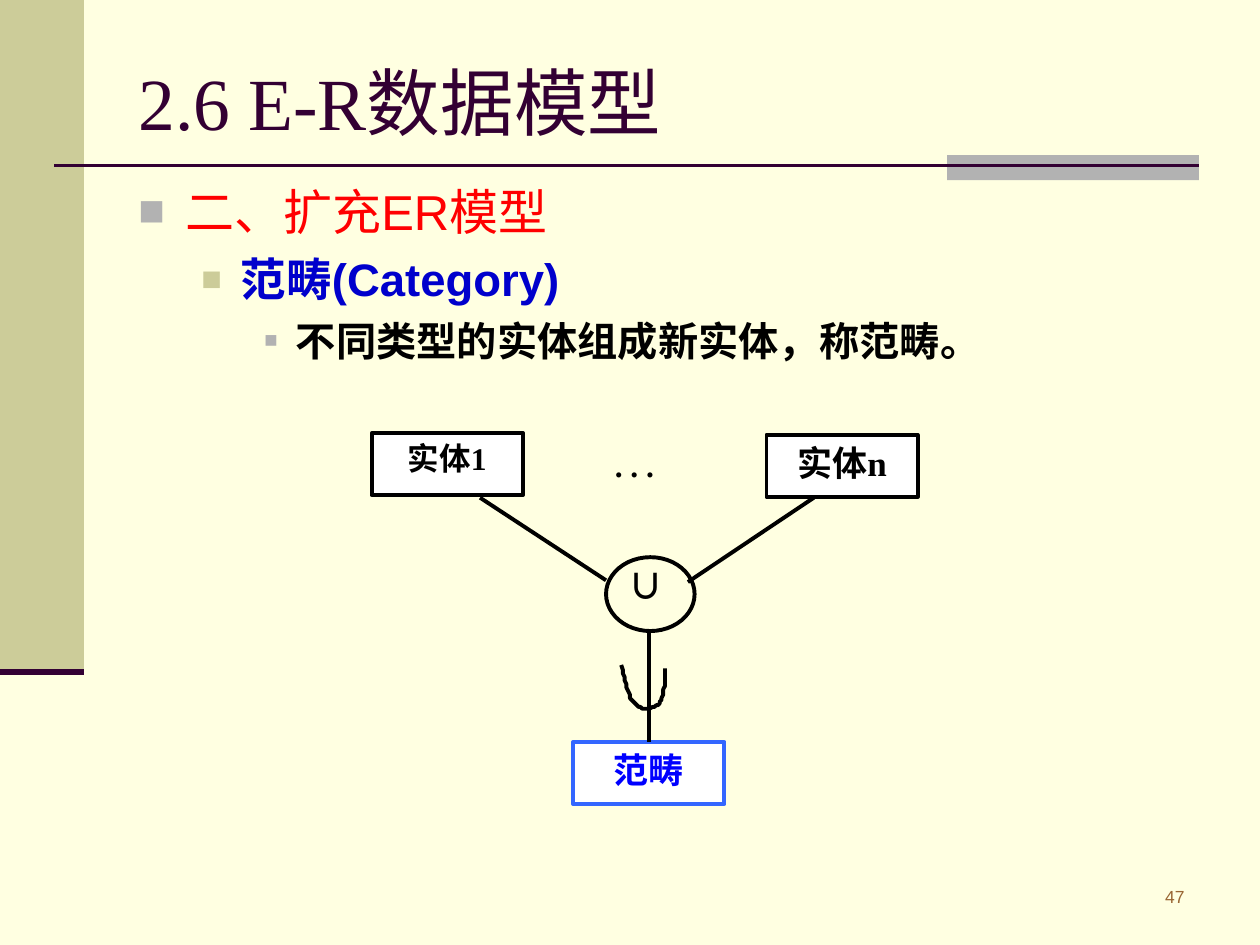
from dataclasses import dataclass
from typing import Any, Optional

import pptx
import pptx.dml.color
import pptx.enum.shapes
import pptx.enum.text
import pptx.oxml
import pptx.oxml.ns
import pptx.util
from lxml import etree

Pt = pptx.util.Pt
Align = pptx.enum.text.PP_ALIGN
Anchor = pptx.enum.text.MSO_ANCHOR
Kind = pptx.enum.shapes.MSO_SHAPE


@dataclass(frozen=True)
class Theme:
    page: str = "FFFFE1"
    sand: str = "CCCC99"
    gray: str = "B2B2B2"
    plum: str = "330033"
    brown: str = "996633"
    red: str = "FF0000"
    navy: str = "0000CC"
    blue: str = "0000FF"
    edge: str = "3366FF"
    black: str = "000000"
    white: str = "FFFFFF"
    serif: str = "Times New Roman"
    sans: str = "Arial"
    han: str = "Noto Sans CJK SC"
    title: float = 42
    head: float = 28
    sub: float = 26
    point: float = 23
    label: float = 20
    small: float = 18
    foot: float = 10
    pen: float = 2.25


T = Theme()


@dataclass(frozen=True)
class Box:
    left: float
    top: float
    width: float
    height: float


@dataclass(frozen=True)
class Words:
    text: str
    size: float
    color: str
    face: str = T.serif
    bold: bool = False
    align: Any = Align.LEFT


@dataclass(frozen=True)
class Bullet:
    color: str
    scale: int
    left: float
    hang: float
    before: float


@dataclass(frozen=True)
class Line:
    start: tuple[float, float]
    end: tuple[float, float]
    color: str = T.black
    width: float = T.pen


def rgb(code: str) -> Any:
    return pptx.dml.color.RGBColor.from_string(code)


def place(box: Box) -> list[Any]:
    return [Pt(n) for n in (box.left, box.top, box.width, box.height)]


def write(para: Any, words: Words) -> None:
    para.alignment = words.align
    run = para.add_run()
    run.text = words.text
    look = {"name": words.face, "size": Pt(words.size), "bold": words.bold}
    for key, value in look.items():
        setattr(run.font, key, value)
    run.font.color.rgb = rgb(words.color)
    latin = run.font._element.find(pptx.oxml.ns.qn("a:latin"))
    east = etree.Element(pptx.oxml.ns.qn("a:ea"), typeface=T.han)
    latin.addnext(east)


def mark(para: Any, dot: Bullet) -> None:
    props = para._p.get_or_add_pPr()
    props.set("marL", str(Pt(dot.left)))
    props.set("indent", str(Pt(-dot.hang)))
    space = pptx.oxml.ns.nsdecls("a")
    for part in (
        f'<a:buClr {space}><a:srgbClr val="{dot.color}"/></a:buClr>',
        f'<a:buSzPct {space} val="{dot.scale * 1000}"/>',
        f'<a:buFont {space} typeface="{T.sans}"/>',
        f'<a:buChar {space} char="■"/>',
    ):
        props.append(pptx.oxml.parse_xml(part))
    para.space_before = Pt(dot.before)


def add_text(slide: Any, box: Box, items: list[tuple[Words, Optional[Bullet]]],
             anchor: Any = Anchor.TOP) -> None:
    frame = slide.shapes.add_textbox(*place(box)).text_frame
    for key, value in {"word_wrap": True, "vertical_anchor": anchor}.items():
        setattr(frame, key, value)
    for level, (words, dot) in enumerate(items):
        para = frame.add_paragraph() if level else frame.paragraphs[0]
        if dot:
            para.level = level
            mark(para, dot)
        write(para, words)


def add_form(slide: Any, kind: Any, box: Box, fill: Optional[str],
             edge: Optional[str] = None, words: Optional[Words] = None) -> Any:
    """Draw a preset shape; no fill or edge colour means none is drawn."""
    shape = slide.shapes.add_shape(kind, *place(box))
    paint(shape, fill, edge)
    if words:
        shape.text_frame.vertical_anchor = Anchor.TOP
        write(shape.text_frame.paragraphs[0], words)
    return shape


def paint(shape: Any, fill: Optional[str], edge: Optional[str]) -> None:
    shape.shadow.inherit = False
    for part, color in ((shape.fill, fill), (shape.line.fill, edge)):
        if color:
            part.solid()
            part.fore_color.rgb = rgb(color)
        else:
            part.background()
    if edge:
        shape.line.width = Pt(T.pen)


def add_line(slide: Any, line: Line) -> Any:
    ends = [Pt(n) for n in (*line.start, *line.end)]
    link = slide.shapes.add_connector(pptx.enum.shapes.MSO_CONNECTOR.STRAIGHT, *ends)
    link.line.color.rgb = rgb(line.color)
    link.line.width = Pt(line.width)
    etree.SubElement(link._element.spPr, pptx.oxml.ns.qn("a:effectLst"))
    return link


def add_curve(slide: Any, start: tuple, bends: list[tuple], steps: int = 12) -> None:
    """Draw joined cubic curves as an open outline of short steps."""
    spots, last = [], start
    for one, two, end in bends:
        for step in range(1, steps + 1):
            t = step / steps
            u = 1 - t
            spots.append(tuple(
                u**3 * a + 3 * u * u * t * b + 3 * u * t * t * c + t**3 * d
                for a, b, c, d in zip(last, one, two, end)))
        last = end
    pen = slide.shapes.build_freeform(*start, scale=float(Pt(1)))
    pen.add_line_segments(spots, close=False)
    paint(pen.convert_to_shape(), None, T.black)


def main() -> None:
    deck = pptx.Presentation()
    deck.slide_width, deck.slide_height = Pt(720), Pt(540)
    slide = deck.slides.add_slide(deck.slide_layouts[6])
    slide.background.fill.solid()
    slide.background.fill.fore_color.rgb = rgb(T.page)

    add_form(slide, Kind.RECTANGLE, Box(0, 0, 48, 384), T.sand)
    add_form(slide, Kind.RECTANGLE, Box(541.2, 88.6, 144, 14.4), T.gray)
    add_line(slide, Line((31, 94.5), (685.2, 94.5), T.plum, 1.5))
    add_line(slide, Line((0, 384), (48, 384), T.plum, 3.5))

    add_text(slide, Box(592.6, 502.6, 91.4, 25.2),
             [(Words("47", T.foot, T.brown, T.sans, align=Align.RIGHT), None)])
    add_text(slide, Box(72, 21.6, 612, 72.7),
             [(Words("2.6 E-R数据模型", T.title, T.plum), None)], Anchor.MIDDLE)
    add_text(slide, Box(72, 100, 612, 396.7), [
        (Words("二、扩充ER模型", T.head, T.red, T.sans), Bullet(T.gray, 90, 27, 27, 0)),
        (Words("范畴(Category)", T.sub, T.navy, T.sans, True), Bullet(T.sand, 75, 58.5, 22.5, 6.5)),
        (Words("不同类型的实体组成新实体，称范畴。", T.point, T.black, T.sans, True),
         Bullet(T.gray, 55, 90, 18, 5.8)),
    ])

    nodes = [
        add_form(slide, Kind.RECTANGLE, Box(left, top, 86.4, 35.5), T.white, edge,
                 Words(name, size, color, bold=True, align=Align.CENTER))
        for left, top, edge, name, size, color in (
            (327.6, 424, T.edge, "范畴", T.label, T.blue),
            (212.4, 247.5, T.black, "实体1", T.small, T.black),
            (438, 248.5, T.black, "实体n", T.label, T.black))
    ]
    add_form(slide, Kind.OVAL, Box(346.3, 318.4, 50.6, 42.2), None, T.black)
    add_curve(slide, (380.2, 382.3), [
        ((380.2, 391), (379.4, 398.9), (376.6, 401.8)),
        ((373.7, 405.4), (366.5, 406.1), (362.9, 402.5)),
        ((359.3, 398.9), (357.1, 389.5), (355, 380.2)),
    ])
    stem = add_line(slide, Line((370.8, 424), (370.8, 362)))
    stem.begin_connect(nodes[0], 0)
    add_line(slide, Line((346.3, 331.6), (274.3, 284.4)))
    add_line(slide, Line((393.1, 332.6), (465.1, 284.4)))
    add_text(slide, Box(344.2, 251.3, 46, 30.2),
             [(Words(". . .", T.small, T.black, bold=True), None)])
    add_text(slide, Box(352, 314.6, 46, 35.3),
             [(Words("∪", T.label, T.black, T.han, True), None)], Anchor.BOTTOM)
    deck.save("out.pptx")


if __name__ == "__main__":
    main()
